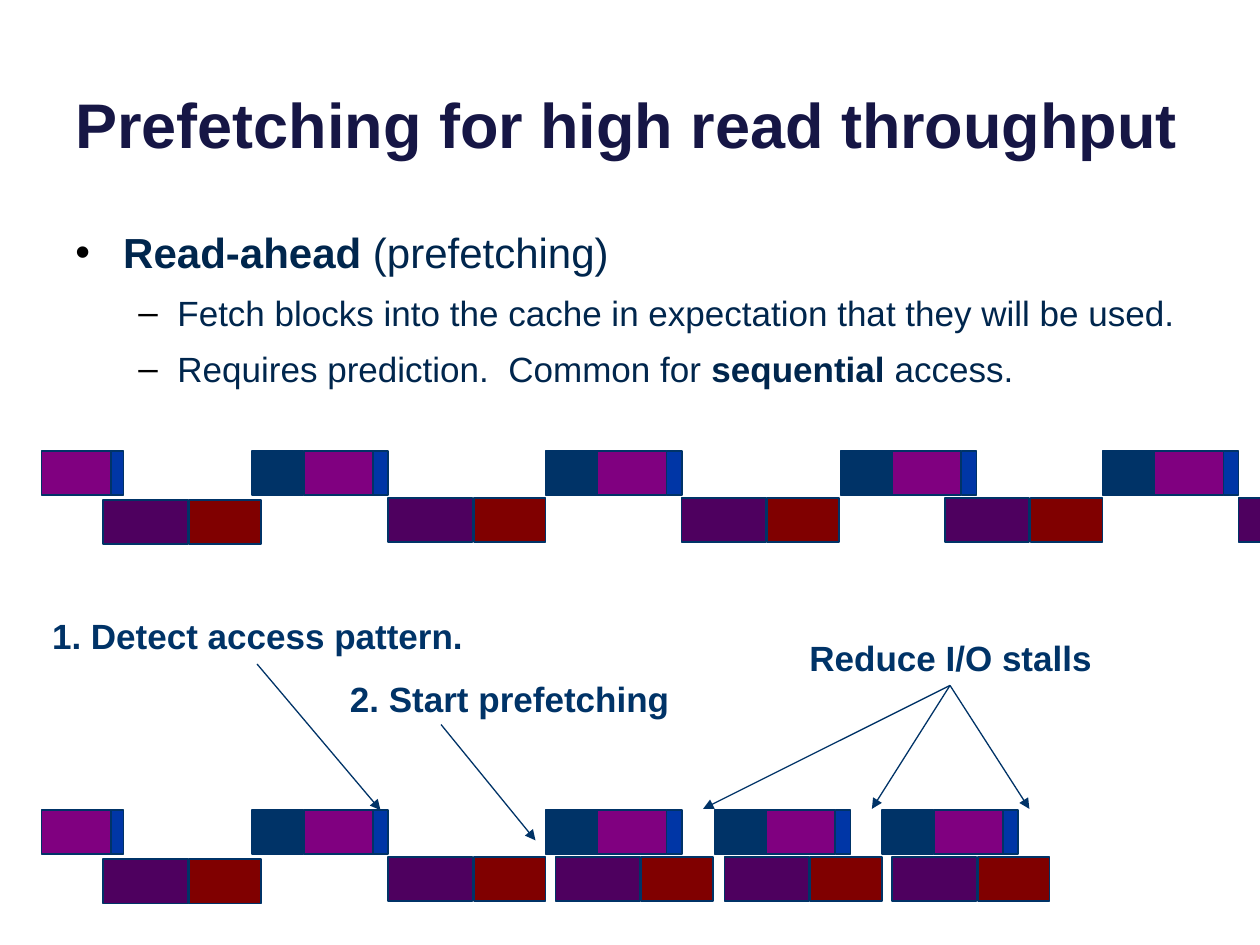
"""Build the slide on prefetching for high read throughput."""
import pptx
import pptx.dml.color
import pptx.enum.shapes
import pptx.enum.text
import pptx.oxml
import pptx.oxml.ns
import pptx.util

Inches, Pt = pptx.util.Inches, pptx.util.Pt
ALIGN = pptx.enum.text.PP_ALIGN
ANCHOR = pptx.enum.text.MSO_ANCHOR

NAVY, PURPLE, BLUE, VIOLET, RED = "003367", "800080", "0036A6", "4E005F", "800000"
TITLE_COLOR, BODY_COLOR = "161645", "00264D"
BLOCK_HEIGHT = 0.35

TITLE = "Prefetching for high read throughput"
BULLETS = [
    (0, [("Read-ahead ", True), ("(prefetching)", False)]),
    (1, [("Fetch blocks into the cache in expectation that they will be used.", False)]),
    (1, [("Requires prediction.  Common for ", False), ("sequential", True),
         (" access.", False)]),
]
LEVELS = [
    {"bullet": "•", "size": 24, "margin": 0.38, "hang": 0.38, "before": 9},
    {"bullet": "–", "size": 20, "margin": 0.81, "hang": 0.31, "before": 8},
]

# Each part: offset right, offset down, width, colour
STAGES = {
    "start": [(0.53, 0, 0.12, BLUE), (0, 0, 0.55, PURPLE),
              (0.49, 0.39, 0.67, VIOLET), (1.17, 0.39, 0.57, RED)],
    "compute": [(0, 0, 0.41, NAVY), (0.96, 0, 0.12, BLUE), (0.41, 0, 0.55, PURPLE)],
    "fetch": [(0, 0.37, 0.67, VIOLET), (0.68, 0.37, 0.57, RED)],
    "fetch begun": [(0, 0.37, 0.67, VIOLET)],
}
TIMELINES = [
    (3.58, {"start": [0.33], "compute": [2, 4.33, 6.67, 8.75],
            "fetch": [3.08, 5.41, 7.5], "fetch begun": [9.83]}),
    (6.43, {"start": [0.33], "compute": [2, 4.33, 5.67, 7],
            "fetch": [3.08, 4.41, 5.75, 7.08]}),
]

CALLOUTS = [
    ("1. Detect access pattern.", (0.17, 4.83), (2.04, 5.27), [(3.02, 6.43)]),
    ("2. Start prefetching", (2.17, 5.33), (3.5, 5.75), [(4.25, 6.67)]),
    ("Reduce I/O stalls", (5.67, 5), (7.54, 5.44),
     [(5.58, 6.42), (6.92, 6.42), (8.17, 6.42)]),
]


def rgb(color):
    """Turn a hex string into a colour."""
    return pptx.dml.color.RGBColor.from_string(color)


def add_frame(slide, left, top, width, height, anchor=ANCHOR.TOP):
    """Add a wrapping text box and return its text frame."""
    frame = slide.shapes.add_textbox(*map(Inches, (left, top, width, height))).text_frame
    frame.word_wrap = True
    frame.vertical_anchor = anchor
    return frame


def add_run(paragraph, text, size, color, bold):
    """Add one run of Arial text."""
    run = paragraph.add_run()
    run.text = text
    run.font.name = "Arial"
    run.font.size = Pt(size)
    run.font.bold = bold
    run.font.color.rgb = rgb(color)


def add_element(parent, xml):
    """Append a drawing element to its parent."""
    namespace = pptx.oxml.ns.nsdecls("a")
    parent.append(pptx.oxml.parse_xml(xml.replace("/>", f" {namespace}/>", 1)
                                      if xml.endswith("/>") and xml.count("<") == 1
                                      else xml.replace(">", f" {namespace}>", 1)))


def add_bullets(slide):
    """Add the bulleted list."""
    frame = add_frame(slide, 0.5, 1.75, 9, 1.58)
    for index, (depth, runs) in enumerate(BULLETS):
        level = LEVELS[depth]
        paragraph = frame.add_paragraph() if index else frame.paragraphs[0]
        paragraph.level = depth
        if index:
            paragraph.space_before = Pt(level["before"])
        properties = paragraph._p.get_or_add_pPr()
        properties.set("marL", str(Inches(level["margin"])))
        properties.set("indent", str(-Inches(level["hang"])))
        add_element(properties, '<a:buClr><a:srgbClr val="000000"/></a:buClr>')
        add_element(properties, '<a:buFont typeface="Arial"/>')
        add_element(properties, f'<a:buChar char="{level["bullet"]}"/>')
        for text, bold in runs:
            add_run(paragraph, text, level["size"], BODY_COLOR, bold)


def add_block(slide, left, top, width, color):
    """Add one outlined block of a timeline."""
    block = slide.shapes.add_shape(
        pptx.enum.shapes.MSO_SHAPE.RECTANGLE,
        *map(Inches, (left, top, width, BLOCK_HEIGHT)))
    block.shadow.inherit = False
    block.fill.solid()
    block.fill.fore_color.rgb = rgb(color)
    block.line.color.rgb = rgb(NAVY)
    block.line.width = Pt(1)


def add_arrow(slide, start, end):
    """Add a thin arrow from start to end."""
    arrow = slide.shapes.add_connector(
        pptx.enum.shapes.MSO_CONNECTOR.STRAIGHT, *map(Inches, (*start, *end)))
    arrow.line.color.rgb = rgb(NAVY)
    arrow.line.width = Pt(0.75)
    add_element(arrow.line._get_or_add_ln(), '<a:tailEnd type="triangle"/>')
    add_element(arrow._element.spPr, "<a:effectLst/>")


def main():
    """Lay out the slide and save it."""
    deck = pptx.Presentation()
    deck.slide_width, deck.slide_height = Inches(10), Inches(7.5)
    slide = deck.slides.add_slide(deck.slide_layouts[6])

    title = add_frame(slide, 0.5, -0.37, 9, 1.7, ANCHOR.BOTTOM)
    add_run(title.paragraphs[0], TITLE, 36, TITLE_COLOR, True)
    add_bullets(slide)

    for top, stages in TIMELINES:
        for stage, starts in stages.items():
            for start in starts:
                for right, down, width, color in STAGES[stage]:
                    add_block(slide, start + right, top + down, width, color)

    for text, corner, origin, targets in CALLOUTS:
        label = add_frame(slide, *corner, 3.75, 0.44).paragraphs[0]
        label.alignment = ALIGN.CENTER
        add_run(label, text, 20, NAVY, True)
        for target in targets:
            add_arrow(slide, origin, target)

    deck.save("out.pptx")


if __name__ == "__main__":
    main()
